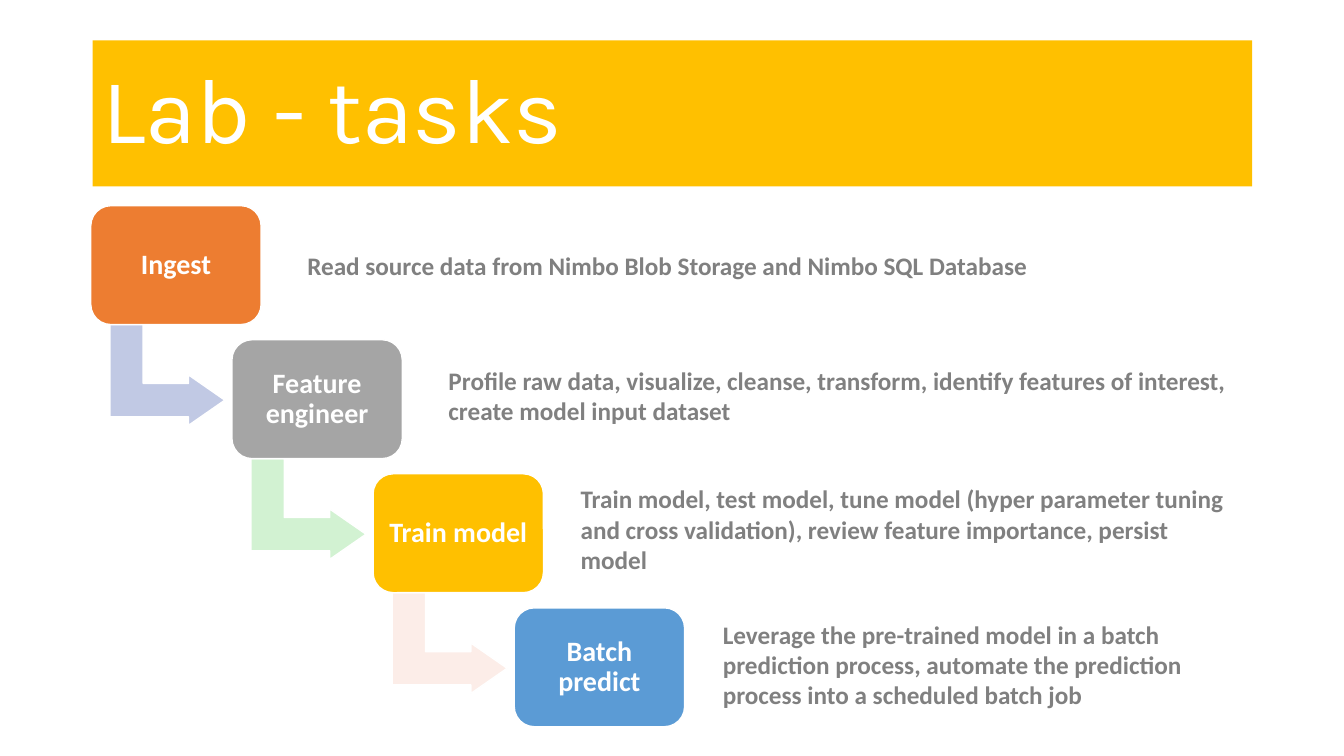
from pptx import Presentation
from pptx.dml.color import RGBColor
from pptx.enum.shapes import MSO_SHAPE
from pptx.enum.text import MSO_ANCHOR, PP_ALIGN
from pptx.util import Inches, Pt

TITLE = "Lab - tasks"
STEPS = [
    {"name": "Ingest", "fill": "ED7D31", "arrow": "C1C9E4",
     "detail": "Read source data from Nimbo Blob Storage and Nimbo SQL Database",
     "detail_box": (2.95, 2.43, 7.43, 0.4)},
    {"name": "Feature engineer", "fill": "A5A5A5", "arrow": "D2F2D2",
     "detail": "Profile raw data, visualize, cleanse, transform, identify features of interest, "
               "create model input dataset",
     "detail_box": (4.35, 3.57, 7.93, 0.71)},
    {"name": "Train model", "fill": "FFC000", "arrow": "FCEDE8",
     "detail": "Train model, test model, tune model (hyper parameter tuning and cross validation), "
               "review feature importance, persist model",
     "detail_box": (5.66, 4.75, 6.62, 1.01)},
    {"name": "Batch predict", "fill": "5B9BD5", "arrow": None,
     "detail": "Leverage the pre-trained model in a batch prediction process, "
               "automate the prediction process into a scheduled batch job",
     "detail_box": (7.07, 6.09, 5.35, 1.01)},
]
WHITE, GREY = "FFFFFF", "808080"
FIRST_LEFT, FIRST_TOP = 0.9, 2.04
STEP_RIGHT, STEP_DOWN = 1.4, 1.33
BOX_WIDTH, BOX_HEIGHT = 1.69, 1.18
ARROW_RIGHT, ARROW_DOWN = 0.26, 1.11
ARROW_WIDTH, ARROW_HEIGHT = 1, 1.14


def color(value):
    return RGBColor.from_string(value)


def add_filled(slide, kind, box, fill, line=None, adjustments=()):
    shape = slide.shapes.add_shape(kind, *map(Inches, box))
    shape.shadow.inherit = False
    shape.fill.solid()
    shape.fill.fore_color.rgb = color(fill)
    if line:
        shape.line.color.rgb = color(line)
        shape.line.width = Pt(1)
    else:
        shape.line.fill.background()
    for index, value in enumerate(adjustments):
        shape.adjustments[index] = value
    return shape


def write(shape, text, size, text_color, font="Calibri", bold=True,
          align=PP_ALIGN.LEFT, anchor=MSO_ANCHOR.TOP, spacing=1.0):
    frame = shape.text_frame
    frame.word_wrap = True
    frame.vertical_anchor = anchor
    paragraph = frame.paragraphs[0]
    paragraph.alignment = align
    paragraph.line_spacing = spacing
    run = paragraph.add_run()
    run.text = text
    run.font.name = font
    run.font.size = Pt(size)
    run.font.bold = bold
    run.font.color.rgb = color(text_color)


def add_step(slide, index, step):
    left = FIRST_LEFT + index * STEP_RIGHT
    top = FIRST_TOP + index * STEP_DOWN
    if step["arrow"]:
        arrow = add_filled(slide, MSO_SHAPE.BENT_UP_ARROW,
                           (left + ARROW_RIGHT, top + ARROW_DOWN, ARROW_WIDTH, ARROW_HEIGHT),
                           step["arrow"], WHITE, (0.33, 0.25, 0.36))
        arrow.rotation = 90
    box = add_filled(slide, MSO_SHAPE.ROUNDED_RECTANGLE,
                     (left, top, BOX_WIDTH, BOX_HEIGHT), step["fill"], WHITE, (0.17,))
    frame = box.text_frame
    frame.margin_left = frame.margin_right = Inches(0.08)
    frame.margin_top = frame.margin_bottom = Inches(0.08)
    write(box, step["name"], 20, WHITE, align=PP_ALIGN.CENTER,
          anchor=MSO_ANCHOR.MIDDLE, spacing=0.9)
    detail = slide.shapes.add_textbox(*map(Inches, step["detail_box"]))
    write(detail, step["detail"], 18, GREY)


def main():
    presentation = Presentation()
    presentation.slide_width = Inches(13.33)
    presentation.slide_height = Inches(7.5)
    slide = presentation.slides.add_slide(presentation.slide_layouts[6])
    banner = add_filled(slide, MSO_SHAPE.RECTANGLE, (0.92, 0.4, 11.5, 1.45), "FFC000")
    write(banner, TITLE, 66, WHITE, font="Karla", bold=False,
          anchor=MSO_ANCHOR.MIDDLE, spacing=0.9)
    for index, step in enumerate(STEPS):
        add_step(slide, index, step)
    presentation.save("out.pptx")


if __name__ == "__main__":
    main()
